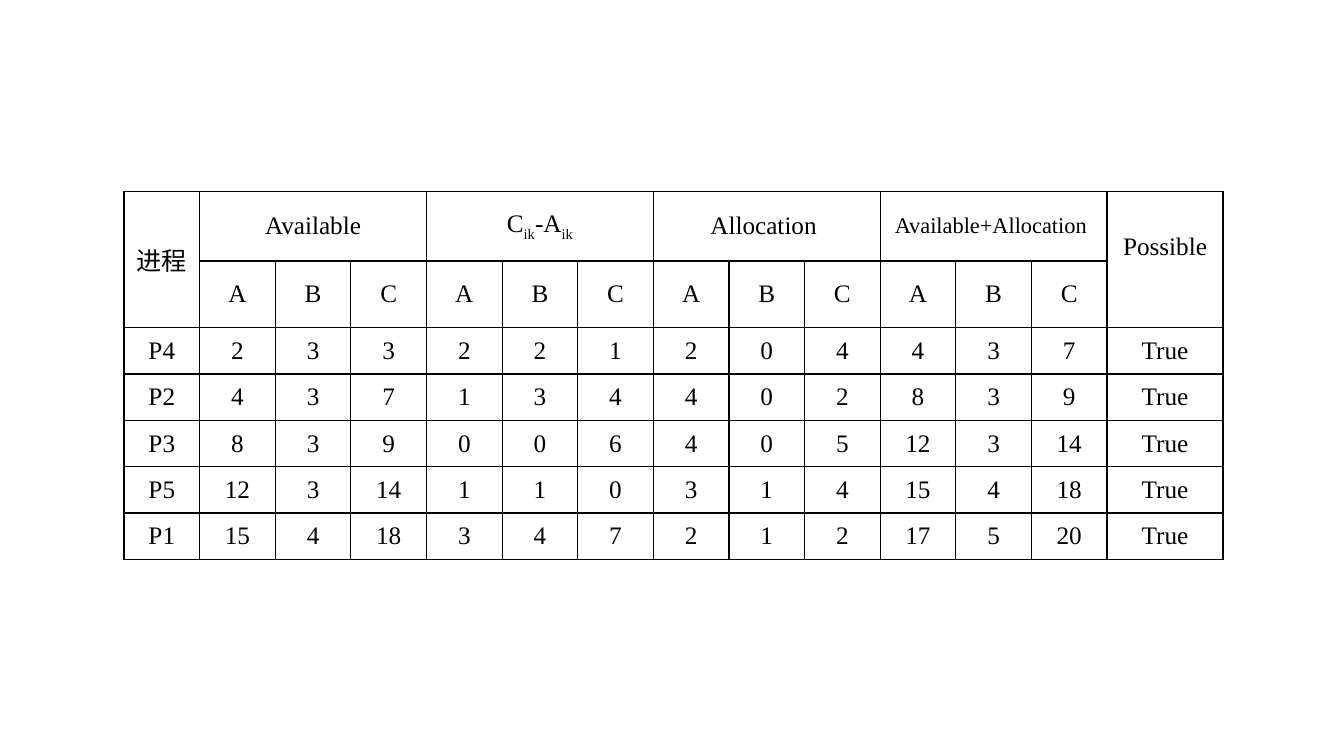
from dataclasses import dataclass

from lxml.etree import SubElement
from pptx import Presentation
from pptx.dml.color import RGBColor
from pptx.enum.text import MSO_ANCHOR as Anchor, PP_ALIGN as Align
from pptx.oxml.ns import qn
from pptx.table import Table, _Cell as Cell
from pptx.util import Inches, Pt

COLORS = {"ink": "000000", "border": "000000"}
FONT = "Times New Roman"
BORDER_WIDTH = Pt(1)
CELL_MARGIN = Inches(0.05)
RESOURCES = "ABC"
HEADER_HEIGHTS = [0.69, 0.66]
PROCESS_HEIGHT = 0.46
RESOURCE_WIDTH = 0.75
POSSIBLE_WIDTH = 1.15
POSSIBLE_COL = 13


@dataclass
class Heading:
    """A header cell; its wording alternates between normal text and subscript."""
    wording: list[str]
    row_span: int
    col_span: int
    size: int = 18


@dataclass
class ProcessStep:
    process: str
    available: list[int]
    need: list[int]
    allocation: list[int]

    def texts(self) -> list[str]:
        released = [a + b for a, b in zip(self.available, self.allocation)]
        possible = all(n <= a for n, a in zip(self.need, self.available))
        numbers = self.available + self.need + self.allocation + released
        return [self.process, *map(str, numbers), str(possible)]


HEADINGS = [
    Heading(["进程"], 2, 1),
    Heading(["Available"], 1, 3),
    Heading(["C", "ik", "-A", "ik"], 1, 3),
    Heading(["Allocation "], 1, 3),
    Heading(["Available+Allocation "], 1, 3, 16),
    Heading(["Possible"], 2, 1),
]
STEPS = [
    ProcessStep("P4", [2, 3, 3], [2, 2, 1], [2, 0, 4]),
    ProcessStep("P2", [4, 3, 7], [1, 3, 4], [4, 0, 2]),
    ProcessStep("P3", [8, 3, 9], [0, 0, 6], [4, 0, 5]),
    ProcessStep("P5", [12, 3, 14], [1, 1, 0], [3, 1, 4]),
    ProcessStep("P1", [15, 4, 18], [3, 4, 7], [2, 1, 2]),
]


def style_cell(cell: Cell) -> None:
    """Give the cell its border, margins and empty fill."""
    properties = cell._tc.get_or_add_tcPr()
    for side in ("lnL", "lnR", "lnT", "lnB"):
        line = SubElement(properties, qn(f"a:{side}"), w=str(BORDER_WIDTH))
        fill = SubElement(line, qn("a:solidFill"))
        SubElement(fill, qn("a:srgbClr"), val=COLORS["border"])
    cell.fill.background()
    cell.vertical_anchor = Anchor.MIDDLE
    cell.margin_left = cell.margin_right = CELL_MARGIN
    cell.margin_top = cell.margin_bottom = CELL_MARGIN


def write(cell: Cell, wording: list[str], size: int = 18) -> None:
    """Write the wording centred, every second piece as subscript."""
    paragraph = cell.text_frame.paragraphs[0]
    paragraph.alignment = Align.CENTER
    paragraph.font.name = FONT
    paragraph.font.size = Pt(size)
    paragraph.font.color.rgb = RGBColor.from_string(COLORS["ink"])
    for index, piece in enumerate(wording):
        run = paragraph.add_run()
        run.text = piece
        if index % 2:
            run._r.get_or_add_rPr().set("baseline", "-25000")


def write_headings(table: Table) -> None:
    col = 0
    for heading in HEADINGS:
        cell = table.cell(0, col)
        last = table.cell(heading.row_span - 1, col + heading.col_span - 1)
        cell.merge(last)
        write(cell, heading.wording, heading.size)
        col += heading.col_span
    for col in range(1, POSSIBLE_COL):
        write(table.cell(1, col), [RESOURCES[(col - 1) % len(RESOURCES)]])
    # "Possible" sits a little above the middle of its two rows.
    table.cell(0, POSSIBLE_COL).margin_bottom = Inches(0.31)


def main() -> None:
    presentation = Presentation()
    presentation.slide_width = Inches(13.33)
    presentation.slide_height = Inches(7.5)
    slide = presentation.slides.add_slide(presentation.slide_layouts[6])

    heights = HEADER_HEIGHTS + [PROCESS_HEIGHT] * len(STEPS)
    widths = [RESOURCE_WIDTH] * POSSIBLE_COL + [POSSIBLE_WIDTH]
    table = slide.shapes.add_table(
        len(heights), len(widths), Inches(1.23), Inches(1.9),
        Inches(sum(widths)), Inches(sum(heights))).table
    table.first_row = table.horz_banding = False
    for row, height in zip(table.rows, heights):
        row.height = Inches(height)
    for column, width in zip(table.columns, widths):
        column.width = Inches(width)
    for cell in table.iter_cells():
        style_cell(cell)

    write_headings(table)
    for row, step in enumerate(STEPS, start=len(HEADER_HEIGHTS)):
        for col, text in enumerate(step.texts()):
            write(table.cell(row, col), [text])

    presentation.save("out.pptx")


if __name__ == "__main__":
    main()
